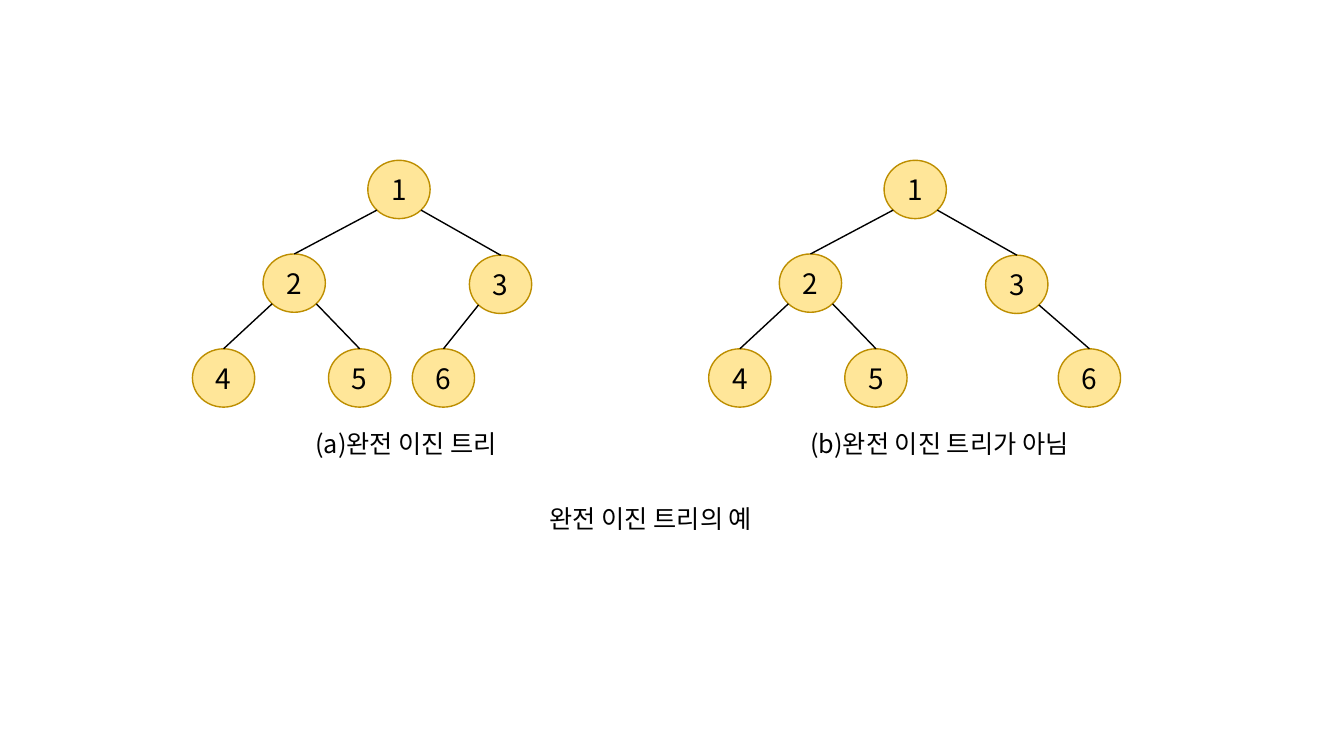
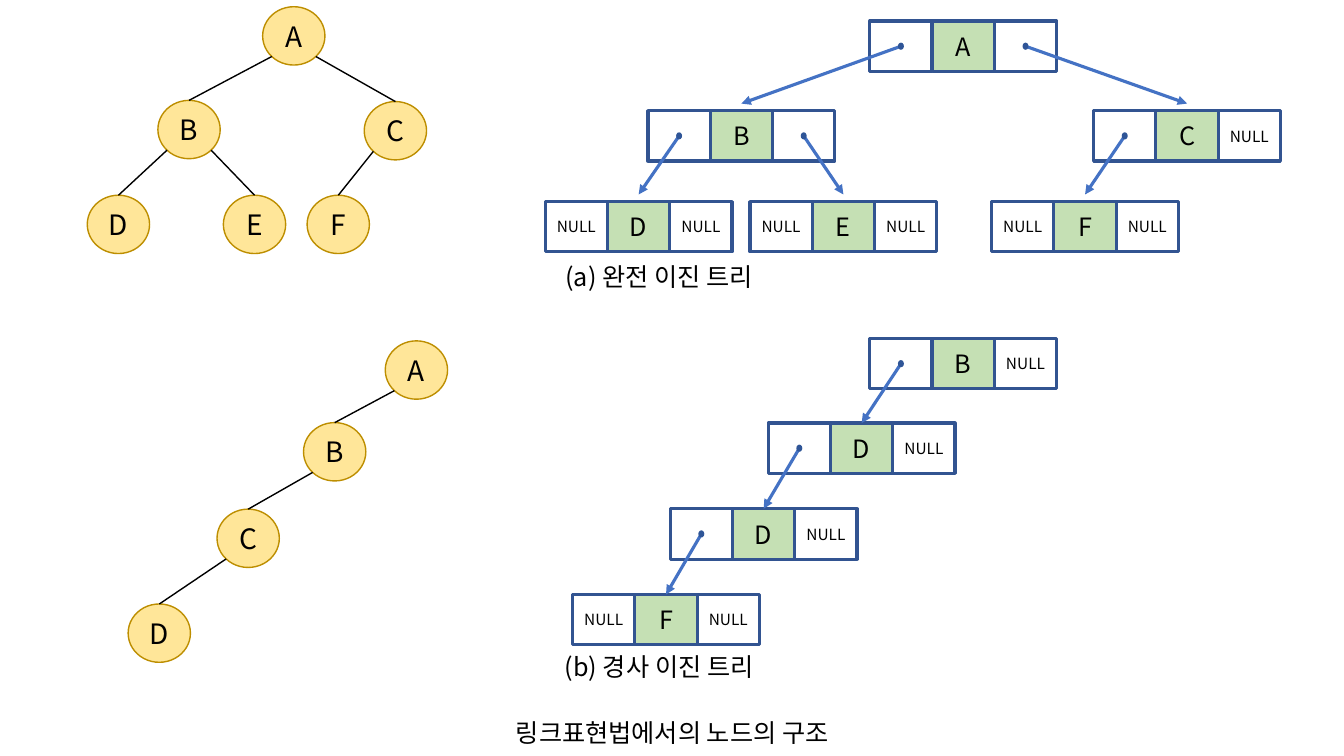
"""Two slides on complete binary trees and their linked representation."""
import math
from collections import namedtuple

from lxml import etree
from pptx import Presentation
from pptx import util as u
from pptx.dml.color import RGBColor
from pptx.enum import shapes, text
from pptx.oxml import ns

BLACK = RGBColor(0x00, 0x00, 0x00)
NODE_FILL = RGBColor(0xFF, 0xE6, 0x99)
NODE_LINE = RGBColor(0xBD, 0x8E, 0x00)
DATA_FILL = RGBColor(0xC5, 0xE0, 0xB4)
CELL_LINE = RGBColor(0x32, 0x54, 0x91)
DOT_FILL = RGBColor(0x2F, 0x55, 0x97)
ARROW = RGBColor(0x44, 0x72, 0xC4)
FONT = "Noto Sans CJK KR"

NODE_W, NODE_H = u.Cm(1.57), u.Cm(1.47)
CELL_W, CELL_H = u.Cm(1.57), u.Cm(1.27)
DOT_W, DOT_H = u.Cm(0.15), u.Cm(0.18)
LEFT, DATA, RIGHT = range(3)

Spot = namedtuple("Spot", "x y")

TREE_SPOTS = [Spot(4.42, 0), Spot(1.78, 2.36), Spot(6.98, 2.39),
              Spot(0, 4.75), Spot(3.43, 4.75), Spot(5.54, 4.75)]
GAPPED_SPOTS = TREE_SPOTS[:5] + [Spot(8.81, 4.75)]
TREE_EDGES = [(0, 1), (0, 2), (1, 3), (1, 4), (2, 5)]
SKEWED_SPOTS = [Spot(6.48, 0), Spot(4.42, 2.06), Spot(2.24, 4.24), Spot(0, 6.63)]
SKEWED_EDGES = [(0, 1), (1, 2), (2, 3)]

RECORD_SPOTS = [Spot(8.18, 0), Spot(2.59, 2.26), Spot(13.82, 2.26),
                Spot(0, 4.55), Spot(5.16, 4.55), Spot(11.25, 4.55)]
RECORD_LINKS = {(0, LEFT): 1, (0, RIGHT): 2, (1, LEFT): 3, (1, RIGHT): 4, (2, LEFT): 5}
CHAIN_SPOTS = [Spot(7.49, 0), Spot(4.93, 2.13), Spot(2.46, 4.29), Spot(0, 6.45)]
CHAIN_LINKS = {(0, LEFT): 1, (1, LEFT): 2, (2, LEFT): 3}


def put_text(box, words, size=18, anchor=text.MSO_ANCHOR.MIDDLE):
    """Write one centred line into a box."""
    frame = box.text_frame
    frame.word_wrap = True
    frame.vertical_anchor = anchor
    para = frame.paragraphs[0]
    para.alignment = text.PP_ALIGN.CENTER
    span = para.add_run()
    span.text = words
    span.font.size = u.Pt(size)
    span.font.color.rgb = BLACK
    span.font.name = FONT
    east = etree.SubElement(span.font._element, ns.qn("a:ea"))
    east.set("typeface", FONT)


def add_box(page, kind, left, top, width, height, fill=None, line=None, weight=1):
    """Add a flat preset shape with an optional fill and outline."""
    box = page.shapes.add_shape(kind, left, top, width, height)
    box.shadow.inherit = False
    if fill is None:
        box.fill.background()
    else:
        box.fill.solid()
        box.fill.fore_color.rgb = fill
    if line is None:
        box.line.fill.background()
    else:
        box.line.color.rgb = line
        box.line.width = u.Pt(weight)
    return box


def add_line(page, start, end, colour=BLACK, weight=1, arrow=False):
    """Draw a straight line between two points, with an optional arrowhead."""
    line = page.shapes.add_connector(shapes.MSO_CONNECTOR.STRAIGHT, *start, *end)
    line.line.color.rgb = colour
    line.line.width = u.Pt(weight)
    if arrow:
        head = etree.SubElement(line.line._get_or_add_ln(), ns.qn("a:tailEnd"))
        head.set("type", "triangle")
    etree.SubElement(line._element.spPr, ns.qn("a:effectLst"))
    return line


def add_caption(page, words, left, top, width):
    """Place a centred caption."""
    box = page.shapes.add_textbox(u.Cm(left), u.Cm(top), u.Cm(width), u.Cm(1.02))
    put_text(box, words, anchor=text.MSO_ANCHOR.TOP)
    box.text_frame.auto_size = text.MSO_AUTO_SIZE.SHAPE_TO_FIT_TEXT


def draw_tree(page, left, top, labels, spots, edges):
    """Draw round nodes and the edges from each parent to its children."""
    nodes = []
    for label, spot in zip(labels, spots):
        node = add_box(page, shapes.MSO_SHAPE.FLOWCHART_CONNECTOR,
                       u.Cm(left + spot.x), u.Cm(top + spot.y), NODE_W, NODE_H,
                       NODE_FILL, NODE_LINE)
        put_text(node, label, size=20)
        nodes.append(node)
    reach = math.sqrt(0.5) / 2
    for parent, child in ((nodes[a], nodes[b]) for a, b in edges):
        side = -1 if child.left < parent.left else 1
        start = (round(parent.left + NODE_W * (0.5 + side * reach)),
                 round(parent.top + NODE_H * (0.5 + reach)))
        edge = add_line(page, start, (child.left + NODE_W // 2, child.top))
        edge.end_connect(child, 0)


def draw_record(page, left, top, label, linked):
    """Draw a left, data and right cell, with NULL in each unlinked side."""
    cells = []
    for part in (LEFT, DATA, RIGHT):
        cell = add_box(page, shapes.MSO_SHAPE.RECTANGLE, left + part * CELL_W, top,
                       CELL_W, CELL_H, DATA_FILL if part == DATA else None,
                       CELL_LINE, 2.25)
        if part == DATA:
            put_text(cell, label)
        elif part not in linked:
            put_text(cell, "NULL", size=11)
        cells.append(cell)
    return cells


def draw_records(page, left, top, labels, spots, links, gap=0):
    """Draw linked records, each pointer ending a gap above its target."""
    records = []
    for index, (label, spot) in enumerate(zip(labels, spots)):
        linked = [side for owner, side in links if owner == index]
        records.append(draw_record(page, u.Cm(left + spot.x), u.Cm(top + spot.y),
                                   label, linked))
    for (owner, side), child in links.items():
        cell, target = records[owner][side], records[child][DATA]
        x, y = cell.left + CELL_W // 2, cell.top + CELL_H // 2
        end = (target.left + CELL_W // 2, target.top - u.Cm(gap))
        pointer = add_line(page, (x, y), end, ARROW, 2.25, arrow=True)
        if not gap:
            pointer.end_connect(target, 0)
        add_box(page, shapes.MSO_SHAPE.FLOWCHART_CONNECTOR,
                x - DOT_W // 2, y - DOT_H // 2, DOT_W, DOT_H, DOT_FILL)


def build_examples(page):
    """Compare a complete tree with one that is not complete."""
    draw_tree(page, 4.85, 4.04, "123456", TREE_SPOTS, TREE_EDGES)
    draw_tree(page, 17.86, 4.04, "123456", GAPPED_SPOTS, TREE_EDGES)
    add_caption(page, "(a)완전 이진 트리", 7.09, 10.67, 6.3)
    add_caption(page, "(b)완전 이진 트리가 아님", 19.89, 10.67, 7.57)
    add_caption(page, "완전 이진 트리의 예", 12.62, 12.57, 7.57)


def build_links(page):
    """Show a complete and a skewed tree beside their linked records."""
    draw_tree(page, 2.2, 0.17, "ABCDEF", TREE_SPOTS, TREE_EDGES)
    draw_records(page, 13.74, 0.53, "ABCDEF", RECORD_SPOTS, RECORD_LINKS, gap=0.18)
    add_caption(page, "(a) 완전 이진 트리", 10.59, 6.45, 12.04)
    draw_tree(page, 3.23, 8.59, "ABCD", SKEWED_SPOTS, SKEWED_EDGES)
    draw_records(page, 14.43, 8.53, "BDDF", CHAIN_SPOTS, CHAIN_LINKS)
    add_caption(page, "(b) 경사 이진 트리", 10.59, 16.28, 12.04)
    add_caption(page, "링크표현법에서의 노드의 구조", 10.92, 17.96, 12.04)


def main():
    """Build and save the deck."""
    deck = Presentation()
    deck.slide_width, deck.slide_height = u.Cm(33.87), u.Cm(19.05)
    for build in (build_examples, build_links):
        build(deck.slides.add_slide(deck.slide_layouts[6]))
    deck.save("out.pptx")


if __name__ == "__main__":
    main()
